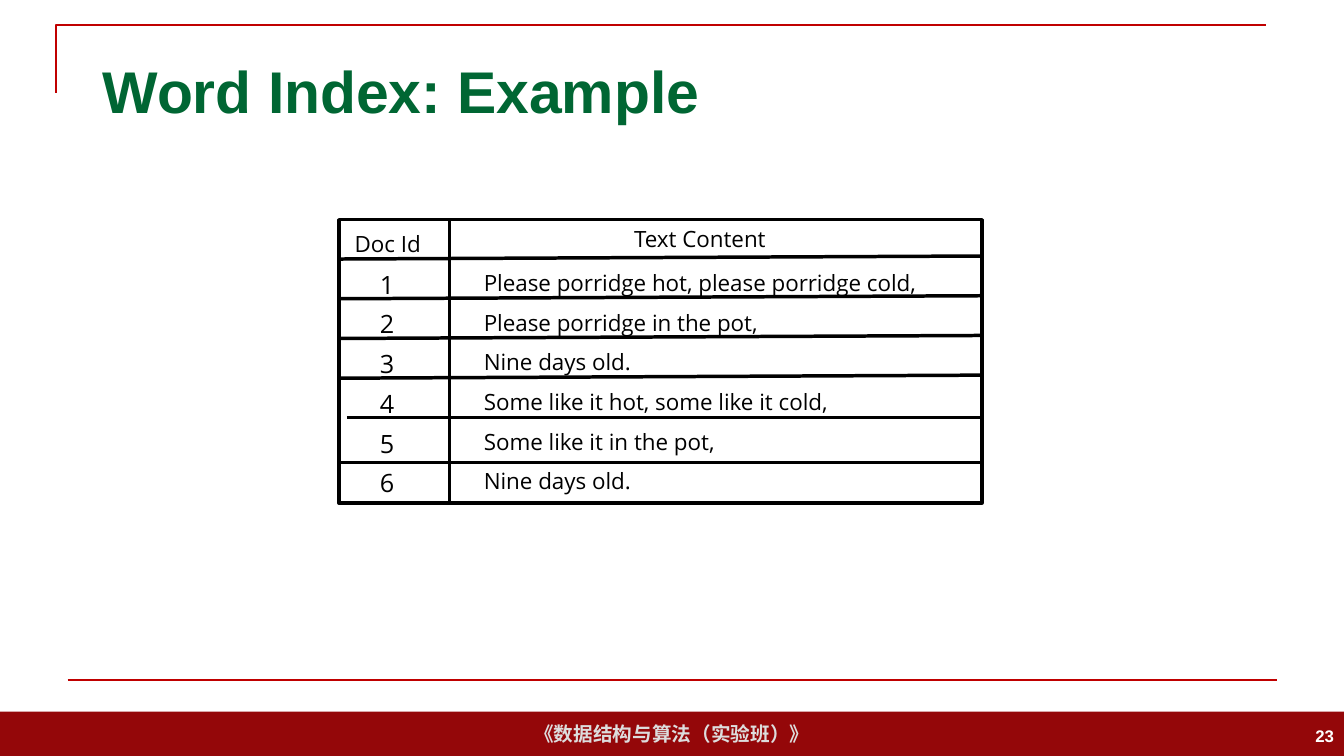
from lxml.etree import SubElement
from pptx import Presentation
from pptx.dml.color import RGBColor
from pptx.enum.shapes import MSO_CONNECTOR as CONNECTOR, MSO_SHAPE as SHAPE
from pptx.enum.text import MSO_ANCHOR as ANCHOR, MSO_AUTO_SIZE as AUTO_SIZE, PP_ALIGN as ALIGN
from pptx.oxml.ns import qn
from pptx.util import Inches, Pt

RED, BLACK = "C00000", "000000"
ROW_PITCH = 0.394
LINE_TILT = 0.03
DOCUMENTS = [
    ("Please porridge hot, please porridge cold,", 4.95),
    ("Please porridge in the pot,", 3.21),
    ("Nine days old.", 1.83),
    ("Some like it hot, some like it cold,", 4.08),
    ("Some like it in the pot,", 2.79),
    ("Nine days old.", 1.83),
]


def color(value):
    return RGBColor.from_string(value)


def set_line(shape, value, width):
    shape.line.color.rgb = color(value)
    shape.line.width = Pt(width)


def add_line(slide, start, end, value, width):
    points = [Inches(number) for number in (*start, *end)]
    connector = slide.shapes.add_connector(CONNECTOR.STRAIGHT, *points)
    set_line(connector, value, width)
    SubElement(connector._element.spPr, qn("a:effectLst"))


def write(shape, text, size, value, font="Arial", bold=True, align=ALIGN.LEFT, anchor=ANCHOR.MIDDLE, wrap=True):
    frame = shape.text_frame
    frame.word_wrap = wrap
    frame.vertical_anchor = anchor
    paragraph = frame.paragraphs[0]
    paragraph.text = text
    paragraph.alignment = align
    paragraph.font.name = font
    paragraph.font.size = Pt(size)
    paragraph.font.bold = bold
    paragraph.font.color.rgb = color(value)


def add_text(slide, box, *args, **options):
    shape = slide.shapes.add_textbox(*map(Inches, box))
    write(shape, *args, **options)
    return shape


def add_label(slide, left, top, width, text, size=16, height=0.37):
    shape = add_text(slide, (left, top, width, height), text, size, BLACK,
                     font="Open Sans", bold=False, anchor=ANCHOR.TOP, wrap=False)
    shape.text_frame.auto_size = AUTO_SIZE.SHAPE_TO_FIT_TEXT


def add_rectangle(slide, box):
    shape = slide.shapes.add_shape(SHAPE.RECTANGLE, *map(Inches, box))
    shape.shadow.inherit = False
    return shape


def add_footer(slide, left, top, width, height):
    band = add_rectangle(slide, (left, top, width, height))
    band.fill.solid()
    band.fill.fore_color.rgb = color("940709")
    band.line.fill.background()
    write(band, "《数据结构与算法（实验班）》", 14, "DDDDDD", align=ALIGN.CENTER, wrap=False)
    add_line(slide, (left + 0.67, top - 0.31), (left + 12.67, top - 0.31), RED, 1.5)
    add_text(slide, (left + width - 3, top + 0.04, 3, 0.4), "23", 12, "FFFFFF", align=ALIGN.RIGHT)


def add_header(slide, left, top, width, height):
    builder = slide.shapes.build_freeform(Inches(left), Inches(top + height))
    builder.add_line_segments(
        [(Inches(left), Inches(top)), (Inches(left + width), Inches(top))], close=False)
    corner = builder.convert_to_shape()
    corner.shadow.inherit = False
    corner.fill.background()
    set_line(corner, RED, 1.5)
    add_text(slide, (left + 0.36, top + 0.15, 11.5, 0.99), "Word Index: Example", 42, "006633")


def add_word_index(slide, left, top, width, height):
    right, divider = left + width, left + 1.1
    frame = add_rectangle(slide, (left, top, width, height))
    frame.fill.background()
    set_line(frame, BLACK, 2.5)
    add_line(slide, (divider, top), (divider, top + height), BLACK, 2.5)
    for row in range(4):
        y = top + 0.39 + row * ROW_PITCH
        add_line(slide, (left, y), (right, y - LINE_TILT), BLACK, 2.5)
    for inset, drop in ((0.08, 1.96), (0, 2.41)):
        add_line(slide, (left + inset, top + drop), (right, top + drop), BLACK, 2.5)

    add_label(slide, left + 0.06, top + 0.05, 0.94, "Doc Id")
    add_label(slide, left + 2.83, top, 1.68, "Text Content")
    for row, (content, content_width) in enumerate(DOCUMENTS):
        y = top + 0.44 + row * ROW_PITCH
        add_label(slide, left + 0.31, y, 0.36, str(row + 1), size=18, height=0.4)
        add_label(slide, left + 1.34, y, content_width, content)


def main():
    presentation = Presentation()
    presentation.slide_width = Inches(13.33)
    presentation.slide_height = Inches(7.5)
    slide = presentation.slides.add_slide(presentation.slide_layouts[6])
    add_footer(slide, 0, 7.06, 13.33, 0.44)
    add_header(slide, 0.56, 0.25, 12, 0.67)
    add_word_index(slide, 3.36, 2.18, 6.38, 2.81)
    presentation.save("out.pptx")


if __name__ == "__main__":
    main()
